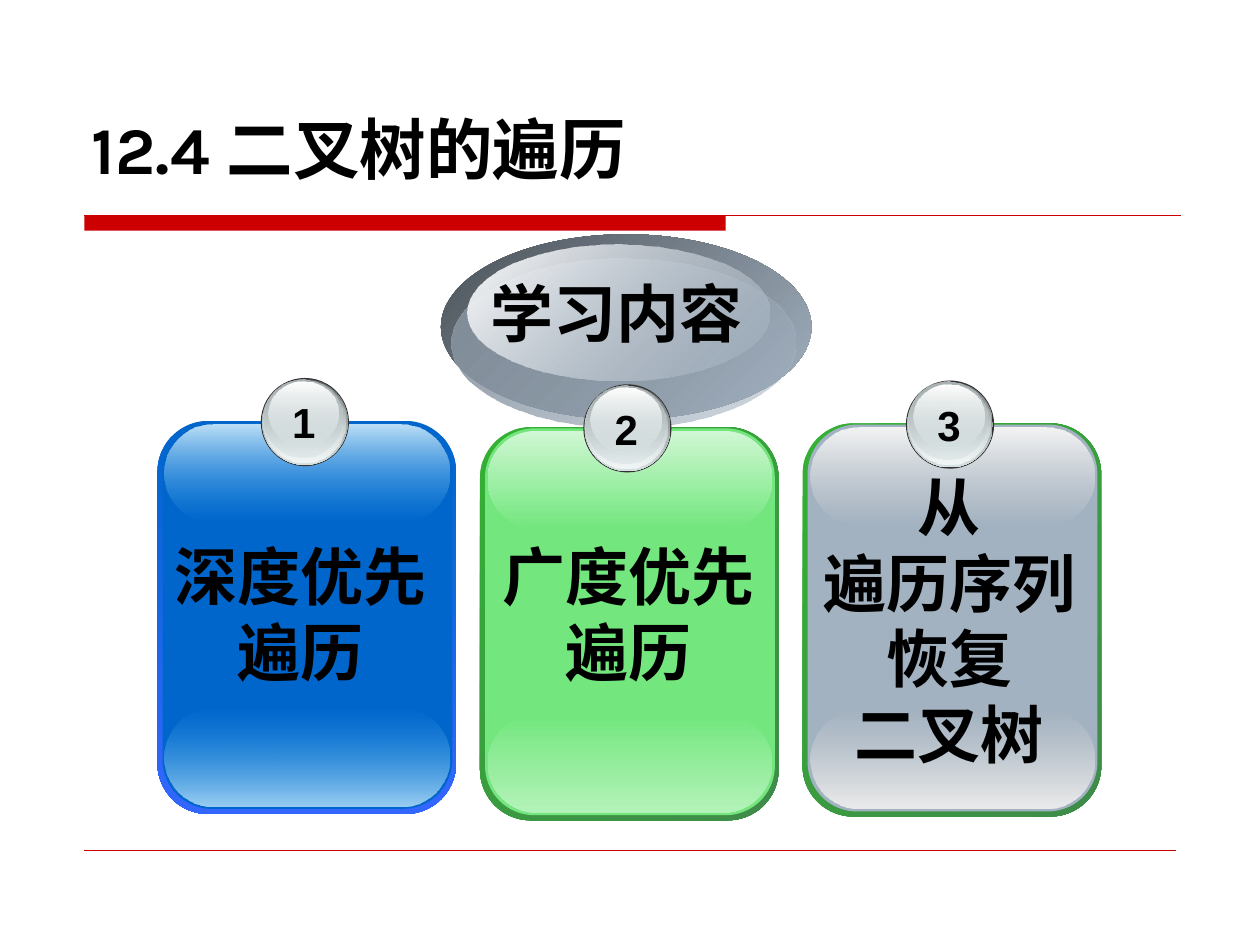
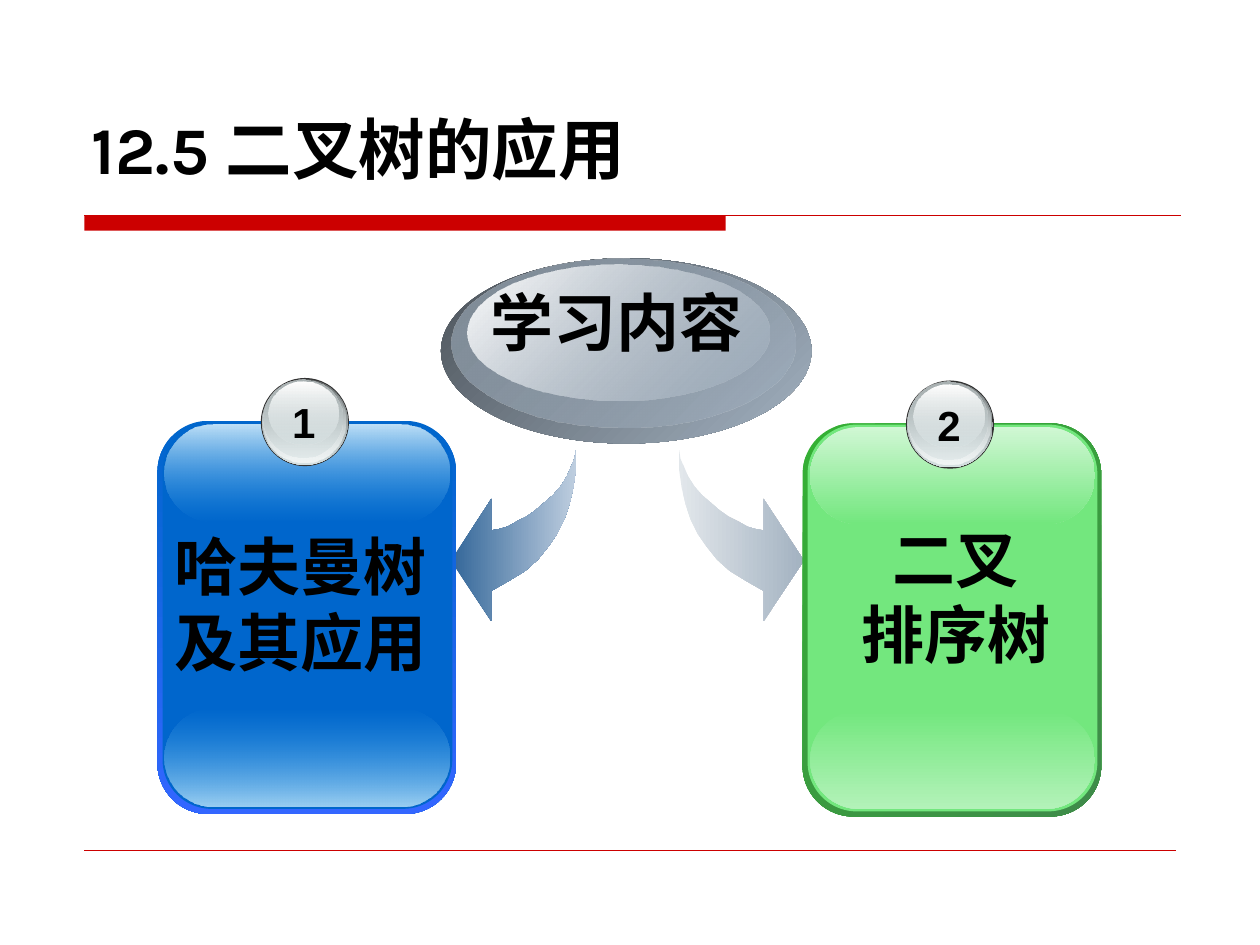
import pptx
import pptx.util
import pptx.dml.color
import pptx.enum.shapes
import pptx.enum.text
import pptx.oxml
import pptx.oxml.ns

Inches, Pt = pptx.util.Inches, pptx.util.Pt
SHAPE = pptx.enum.shapes.MSO_SHAPE
ALIGN = pptx.enum.text.PP_ALIGN
ANCHOR = pptx.enum.text.MSO_ANCHOR
qn = pptx.oxml.ns.qn
rgb = pptx.dml.color.RGBColor.from_string

RED = "CC0000"
LEFT, COLUMN = 1.25, 2.56  # left edge of the first panel, step between panels


def paint(s, stops, angle=90):
    """Fill with one or two (hex, opacity %) stops; angle runs clockwise."""
    s.shadow.inherit = False
    s.line.fill.background()
    if len(stops) == 1:
        s.fill.solid()
        s.fill.fore_color.rgb = rgb(stops[0][0])
        return
    s.fill.gradient()
    s.fill.gradient_angle = -angle % 360
    for stop, (color, _) in zip(s.fill.gradient_stops, stops):
        stop.color.rgb = rgb(color)
    for node, (_, opacity) in zip(s._element.spPr.iter(qn("a:srgbClr")), stops):
        if opacity < 100:
            alpha = node.makeelement(qn("a:alpha"), {"val": str(opacity * 1000)})
            node.append(alpha)


def text(slide, box, paragraphs, size=36, align=ALIGN.CENTER,
         anchor=ANCHOR.TOP, wrap=True):
    """Each paragraph is a list of (words, font) runs."""
    s = slide.shapes.add_textbox(*map(Inches, box))
    tf = s.text_frame
    tf.word_wrap = wrap
    tf.vertical_anchor = anchor
    for i, runs in enumerate(paragraphs):
        p = tf.add_paragraph() if i else tf.paragraphs[0]
        p.alignment = align
        for words, font in runs:
            r = p.add_run()
            r.text = words
            r.font.name = font
            r.font.size = Pt(size)
            r.font.bold = True
            r.font.color.rgb = rgb("000000")


# rim, rim angle, face, highlight, highlight opacity at the inner edge
BLUE = dict(rim=["0066CC", "3366FF"], rim_angle=90, face="0066CC",
            top="BEE0F7", bottom="9BCFF2", inner=("3CA1E6", 0))
GREEN = dict(rim=["34B034", "3F8B4A"], rim_angle=45, face="73E77E",
             top="D0F7D4", bottom="B3F2B9", inner=("73E77E", 100))
GREY = dict(GREEN, face="A3B2C1", top="F4F4F4", bottom="ECECEC",
            inner=("DDDDDD", 0))

# number ball, back to front: offset from the ball's corner, size, stops
BALL = [
    (0, 0, 0.70, 0.70, [("333333", 100)]),
    (0.01, 0.01, 0.68, 0.68, [("636869", 100), ("D6E1E2", 100)]),
    (0.01, 0.01, 0.66, 0.66, [("D6E1E2", 0), ("F1F5F5", 100)]),
    (0.02, 0.01, 0.63, 0.62, [("AAB2B3", 100), ("D6E1E2", 48)]),
    (0.06, 0.03, 0.56, 0.50, [("FFFFFF", 100), ("D6E1E2", 38)]),
]

# heading ellipses, back to front: left, width, height, stops
OVALS = [
    (3.50, 2.94, 1.47, [("4B5259", 100), ("A3B2C1", 100)]),
    (3.58, 2.73, 1.34, [("818D99", 100), ("A3B2C1", 48)]),
    (3.71, 2.40, 1.08, [("FFFFFF", 100), ("A3B2C1", 38)]),
]

# left arrow outline, in hundredths of an inch
ARROW = [
    (457, 357), (457, 373), (455, 387), (452, 400), (448, 412), (442, 424),
    (435, 434), (427, 444), (417, 453), (404, 461), (390, 469), (390, 493),
    (358, 445), (390, 396), (390, 421), (396, 420), (403, 418), (410, 414),
    (418, 410), (425, 405), (432, 399), (439, 393), (445, 386), (450, 378),
    (453, 371), (456, 364),
]
MIRROR = 996  # twice the x of the axis between the two arrows

# panels: column, top, style, text box (left, top, width, height), lines
SLIDES = [
    dict(number="12.4 ", title="二叉树的遍历", oval_tops=(1.86, 2.05, 1.94),
         heading_top=2.13, arrows=False, panels=[
             (0, 3.34, BLUE, (1.27, 4.22, 2.23, 1.3), ["深度优先遍历"]),
             (2, 3.36, GREY, (6.34, 3.67, 2.39, 2.5),
              ["从", "遍历序列恢复", "二叉树"]),
             (1, 3.39, GREEN, (3.87, 4.22, 2.23, 1.3), ["广度优先遍历"])]),
    dict(number="12.5 ", title="二叉树的应用", oval_tops=(2.05, 2.05, 2.10),
         heading_top=2.20, arrows=True, panels=[
             (0, 3.34, BLUE, (1.27, 4.14, 2.23, 1.3), ["哈夫曼树及其应用"]),
             (2, 3.36, GREEN, (6.47, 4.08, 2.23, 1.3), ["二叉", "排序树"])]),
]

prs = pptx.Presentation()
prs.slide_width, prs.slide_height = Inches(10), Inches(7.5)

for content in SLIDES:
    slide = prs.slides.add_slide(prs.slide_layouts[6])

    # title, band and rules
    band = slide.shapes.add_shape(SHAPE.RECTANGLE, *map(Inches, (0.67, 1.71, 5.09, 0.12)))
    paint(band, [(RED, 100)])
    for y, right, weight in [(1.71, 9.37, 0.75), (6.75, 9.33, 0.25)]:
        rule = slide.shapes.add_connector(
            pptx.enum.shapes.MSO_CONNECTOR.STRAIGHT,
            Inches(0.67), Inches(y), Inches(right), Inches(y))
        rule.line.color.rgb = rgb(RED)
        rule.line.width = Pt(weight)
        rule._element.spPr.append(pptx.oxml.parse_xml(
            '<a:effectLst %s/>' % pptx.oxml.ns.nsdecls("a")))
    text(slide, (0.63, 0.21, 8.75, 1.33),
         [[(content["number"], "Karla"), (content["title"], "Arial")]],
         size=38, align=ALIGN.LEFT, anchor=ANCHOR.BOTTOM)

    # heading ellipse
    for (x, w, h, stops), y in zip(OVALS, content["oval_tops"]):
        s = slide.shapes.add_shape(SHAPE.OVAL, *map(Inches, (x, y, w, h)))
        paint(s, stops, 45)
    text(slide, (3.77, content["heading_top"], 2.25, 0.7), [[("学习内容", "Arial")]])

    # arrows from the heading to the panels
    if content["arrows"]:
        right_arrow = [(MIRROR - x, y) for x, y in ARROW]
        for outline, colors in [(ARROW, ("336699", "BECEDF")),
                                (right_arrow, ("E2E7EB", "A3B2C1"))]:
            pen = slide.shapes.build_freeform(*outline[0], scale=Inches(0.01))
            pen.add_line_segments(outline[1:], close=True)
            paint(pen.convert_to_shape(), [(c, 100) for c in colors], 0)

    # numbered panels
    for column, top, style, box, lines in content["panels"]:
        left = LEFT + column * COLUMN
        rim = [(c, 100) for c in style["rim"]]
        layers = [
            (0, 0, 2.37, 3.12, 0.17, rim, style["rim_angle"]),
            (0.04, 0.01, 2.30, 3.07, 0.17, [(style["face"], 100)], 90),
            (0.06, 2.28, 2.26, 0.78, 0.5, [style["inner"], (style["bottom"], 100)], 90),
            (0.06, 0.03, 2.26, 0.77, 0.5, [(style["top"], 100), style["inner"]], 90),
        ]
        for dx, dy, w, h, corner, stops, angle in layers:
            s = slide.shapes.add_shape(SHAPE.ROUNDED_RECTANGLE,
                                       *map(Inches, (left + dx, top + dy, w, h)))
            s.adjustments[0] = corner
            paint(s, stops, angle)

        ball_left, ball_top = left + 0.82, top - 0.34
        for dx, dy, w, h, stops in BALL:
            s = slide.shapes.add_shape(SHAPE.OVAL, *map(
                Inches, (ball_left + dx, ball_top + dy, w, h)))
            paint(s, stops)
        number = min(column + 1, len(content["panels"]))
        text(slide, (ball_left + 0.15, ball_top + 0.1, 0.38, 0.5),
             [[(str(number), "Arial")]], size=24, wrap=False)
        text(slide, box, [[(line, "Arial")] for line in lines])

prs.save("out.pptx")
